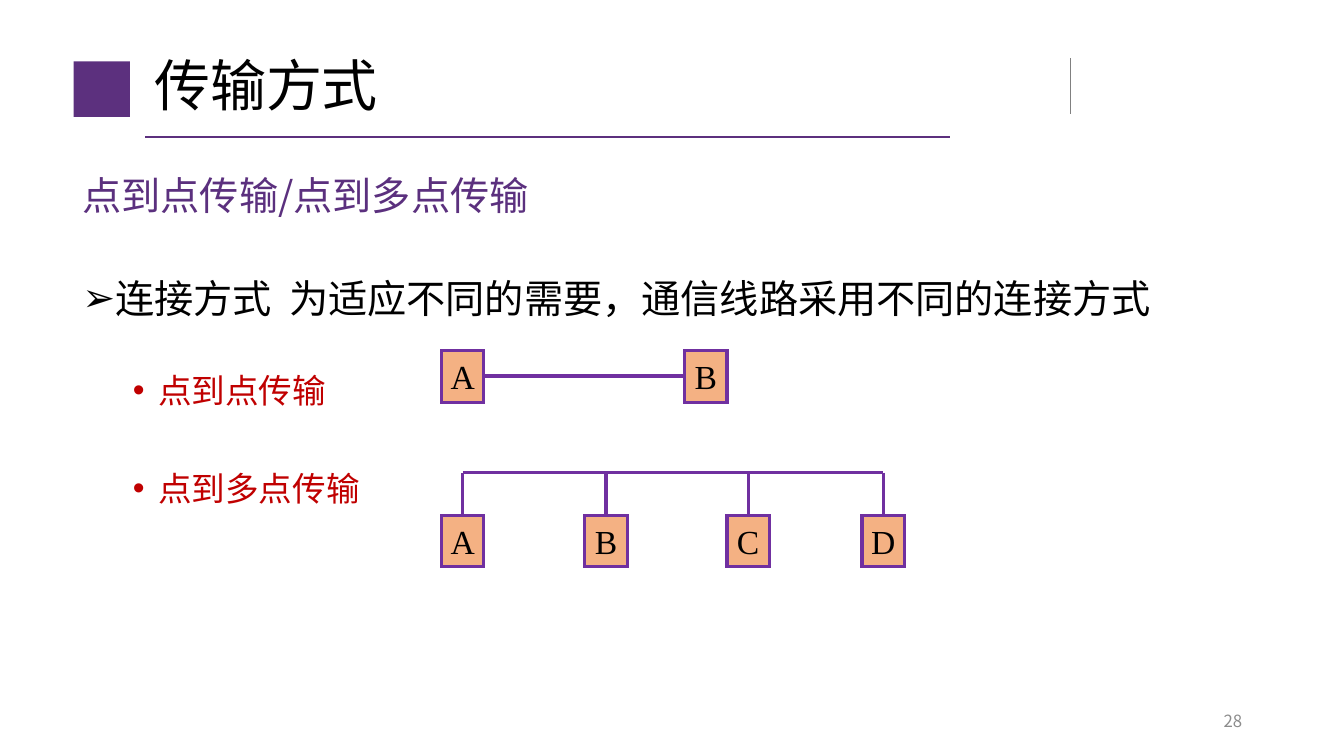
"""Build the slide on point-to-point and multipoint transmission."""
from dataclasses import dataclass
from lxml.etree import SubElement
from pptx import Presentation
from pptx.dml.color import RGBColor
from pptx.enum.shapes import MSO_CONNECTOR, MSO_SHAPE
from pptx.enum.text import MSO_ANCHOR, PP_ALIGN
from pptx.oxml.ns import qn
from pptx.util import Inches, Pt

SANS = "Noto Sans CJK SC"
SERIF = "Times New Roman"
BRAND = "5C307E"
WIRE = "7030A0"
RED = "C00000"
BLACK = "000000"
WIDE, HIGH = 0.42, 0.51


@dataclass
class Line:
    x: float
    y: float
    end_x: float
    end_y: float
    color: str = WIRE
    width: float = 2.25


@dataclass
class Node:
    label: str
    x: float
    y: float

    @property
    def mid(self) -> float:
        return self.x + WIDE / 2


@dataclass
class Para:
    text: str
    size: float
    color: str
    space: float = 1.0
    before: float = 0
    mark: str = ""
    left: float = 0
    tab: float = 0
    level: int = 0
    align: PP_ALIGN = PP_ALIGN.LEFT


def rgb(code: str) -> RGBColor:
    return RGBColor.from_string(code)


def style(para, item: Para, face: str) -> None:
    para.text = item.text
    para.level = item.level
    para.alignment = item.align
    para.line_spacing = item.space
    para.space_before = Pt(item.before)
    props = para._p.get_or_add_pPr()
    if item.mark:
        props.set("marL", str(Inches(item.left)))
        props.set("indent", str(Inches(-0.25)))
        SubElement(props, qn("a:buFont"), typeface="Arial")
        SubElement(props, qn("a:buChar"), char=item.mark)
    if item.tab:
        stops = SubElement(props, qn("a:tabLst"))
        SubElement(stops, qn("a:tab"), pos=str(Inches(item.tab)), algn="l")
    para.font.size = Pt(item.size)
    para.font.name = face
    para.font.color.rgb = rgb(item.color)
    for run in para.runs:
        SubElement(run._r.get_or_add_rPr(), qn("a:ea"), typeface=face)


def add_text(slide, box: tuple, items: list[Para], anchor: MSO_ANCHOR) -> None:
    frame = slide.shapes.add_textbox(*map(Inches, box)).text_frame
    frame.word_wrap = True
    frame.vertical_anchor = anchor
    for i, item in enumerate(items):
        para = frame.add_paragraph() if i else frame.paragraphs[0]
        style(para, item, SANS)


def add_rect(slide, box: tuple, fill: str):
    shape = slide.shapes.add_shape(MSO_SHAPE.RECTANGLE, *map(Inches, box))
    shape.shadow.inherit = False
    shape.fill.solid()
    shape.fill.fore_color.rgb = rgb(fill)
    shape.line.fill.background()
    return shape


def add_node(slide, node: Node) -> None:
    shape = add_rect(slide, (node.x, node.y, WIDE, HIGH), "F4B183")
    shape.line.color.rgb = rgb(WIRE)
    shape.line.width = Pt(2.25)
    SubElement(shape._element.spPr.find(qn("a:ln")), qn("a:miter"), lim="800000")
    frame = shape.text_frame
    frame.margin_left = frame.margin_right = 0
    frame.vertical_anchor = MSO_ANCHOR.MIDDLE
    item = Para(node.label, 24, BLACK, align=PP_ALIGN.CENTER)
    style(frame.paragraphs[0], item, SERIF)


def add_line(slide, line: Line) -> None:
    ends = map(Inches, (line.x, line.y, line.end_x, line.end_y))
    link = slide.shapes.add_connector(MSO_CONNECTOR.STRAIGHT, *ends)
    link.line.color.rgb = rgb(line.color)
    link.line.width = Pt(line.width)
    SubElement(link._element.spPr, qn("a:effectLst"))


def main() -> None:
    deck = Presentation()
    deck.slide_width, deck.slide_height = Inches(13.33), Inches(7.5)
    slide = deck.slides.add_slide(deck.slide_layouts[6])

    add_rect(slide, (0.73, 0.61, 0.56, 0.55), BRAND)
    add_line(slide, Line(1.44, 1.36, 9.42, 1.36, BRAND, 1.5))
    add_line(slide, Line(10.62, 0.58, 10.62, 1.13, "808080", 1))

    title = Para("传输方式", 40, BLACK, 0.9)
    add_text(slide, (1.43, 0.4, 8.99, 0.96), [title], MSO_ANCHOR.MIDDLE)
    body = [
        Para("点到点传输/点到多点传输", 28, "5B307E", 1.5),
        Para("连接方式\t为适应不同的需要，通信线路采用不同的连接方式",
             28, BLACK, 2, 6, "➢", 0.25, tab=2.05),
        Para("点到点传输", 24, RED, 2, 6, "•", 0.75, level=1),
        Para("点到多点传输", 24, RED, 1, 41, "•", 0.75, level=1),
    ]
    add_text(slide, (0.72, 1.42, 11.5, 5.02), body, MSO_ANCHOR.TOP)
    page = Para("28", 12, "8C8C8C", align=PP_ALIGN.RIGHT)
    add_text(slide, (9.42, 6.95, 3, 0.4), [page], MSO_ANCHOR.MIDDLE)

    pair = [Node("A", 4.38, 3.48), Node("B", 6.79, 3.48)]
    group = [Node(label, x, 5.11)
             for label, x in zip("ABCD", (4.38, 5.8, 7.21, 8.55))]
    for node in pair + group:
        add_node(slide, node)

    bus = 4.69
    add_line(slide, Line(pair[0].x + WIDE, 3.73, pair[1].x, 3.73))
    add_line(slide, Line(group[0].mid, bus, group[-1].mid, bus))
    for node in group:
        add_line(slide, Line(node.mid, bus, node.mid, node.y))

    deck.save("out.pptx")


if __name__ == "__main__":
    main()
